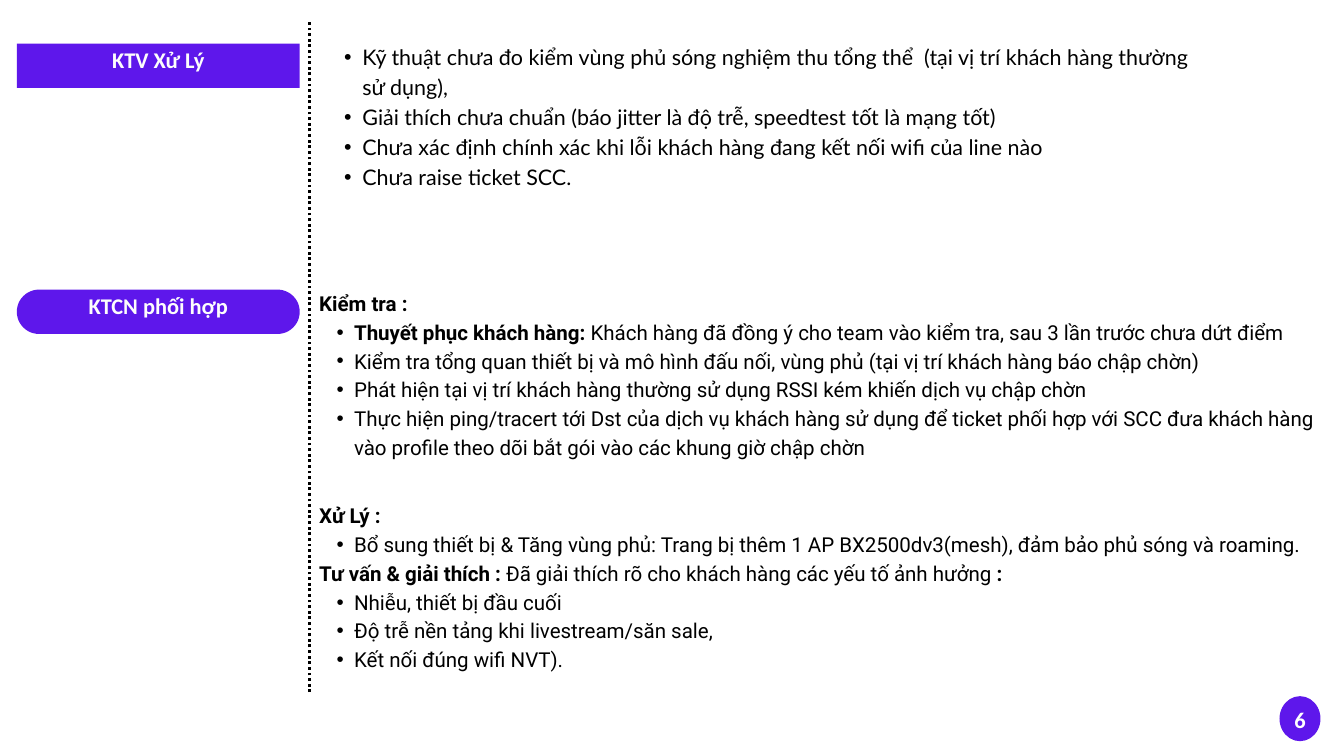
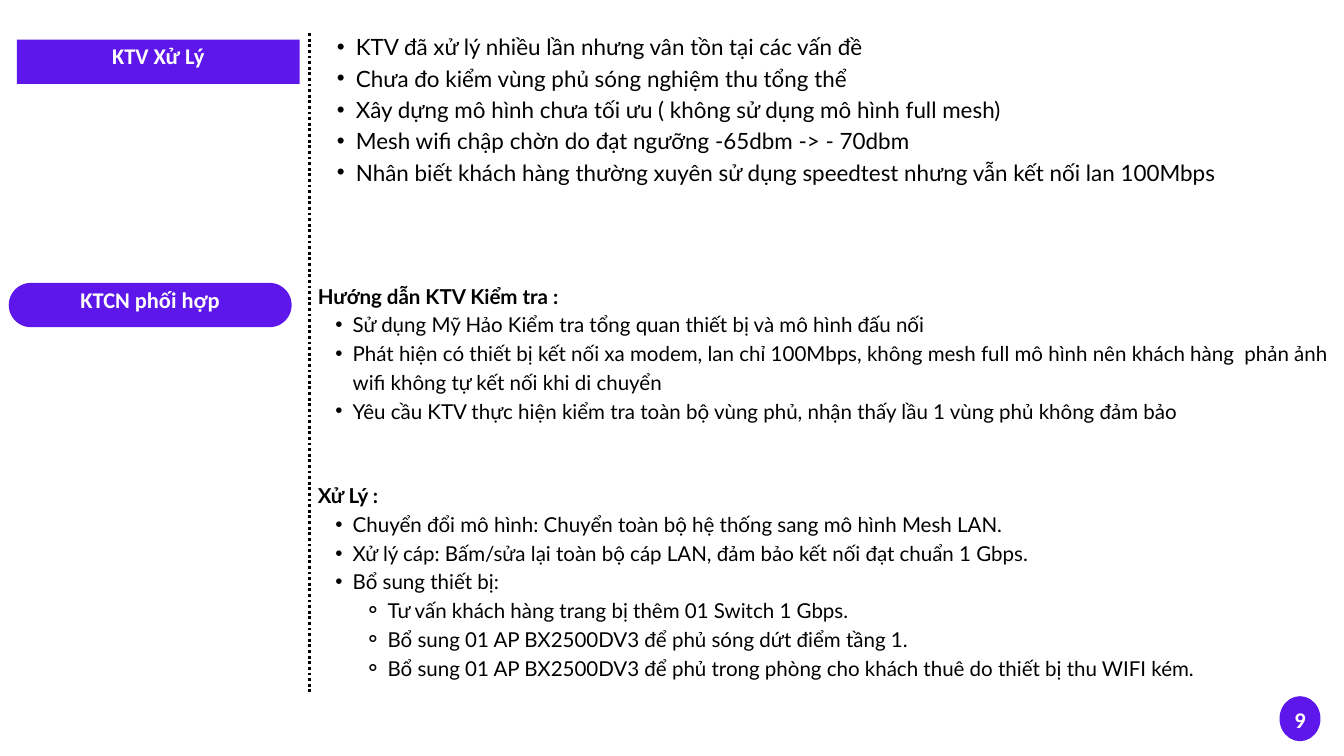
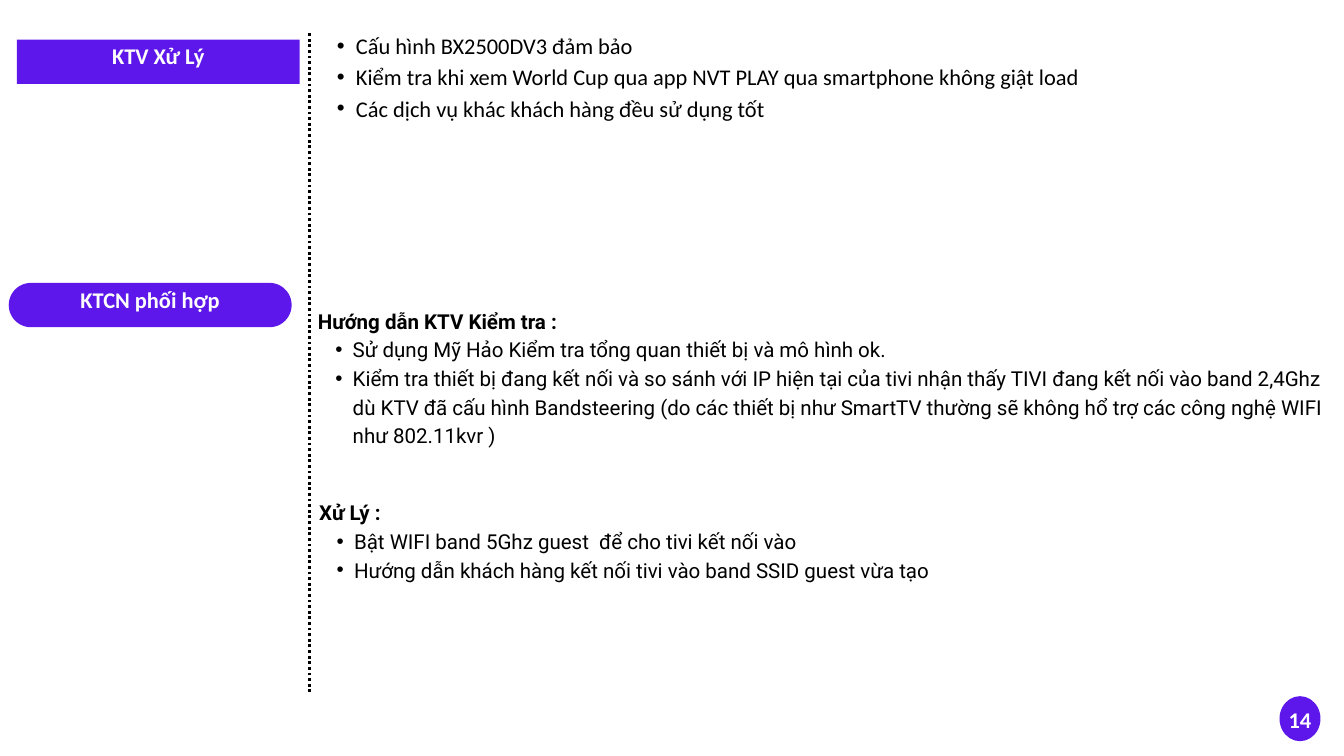
from lxml.etree import SubElement
from pptx import Presentation
from pptx.dml.color import RGBColor
from pptx.enum.dml import MSO_LINE
from pptx.enum.shapes import MSO_CONNECTOR as Link, MSO_SHAPE as Shape
from pptx.enum.text import MSO_ANCHOR as Anchor, MSO_AUTO_SIZE as Fit, PP_ALIGN as Align
from pptx.oxml.ns import qn
from pptx.util import Inches, Pt

PURPLE, BLACK, WHITE = "5E17EB", "000000", "FFFFFF"
BULLETS = {1: "•", 2: "⚬"}
LEADING = 1.4
STEP = 0.0236
LABELS = ("KTV Xử Lý", "KTCN phối hợp")


def paint(target, color):
    """Give a fill or line format one solid colour."""
    target.solid()
    target.fore_color.rgb = RGBColor.from_string(color)


def place(shape, box):
    """Move a shape to a box in inches."""
    shape.left, shape.top, shape.width, shape.height = map(Inches, box)


def frame(shape, anchor=Anchor.TOP, bottom=0):
    """Prepare a text frame with fixed size and thin margins."""
    body = shape.text_frame
    body.word_wrap, body.auto_size, body.vertical_anchor = True, Fit.NONE, anchor
    body.margin_left = body.margin_right = body.margin_top = 0
    body.margin_bottom = Inches(bottom)
    return body


def write(para, text, size=24, font="Calibri", color=BLACK, align=Align.LEFT, level=0):
    """Write text in one paragraph; parts between asterisks are bold."""
    para.level, para.alignment = level, align
    para.line_spacing, para.space_before = Pt(size * LEADING), Pt(0)
    left = level * STEP * size
    props = para._p.get_or_add_pPr()
    props.set("marL", str(Inches(left)))
    props.set("indent", str(-Inches(left / (level + 1))))
    if level:
        SubElement(props, qn("a:buChar"), char=BULLETS[level])
    else:
        SubElement(props, qn("a:buNone"))
    for index, part in enumerate(text.split("*")):
        if part:
            run = para.add_run()
            run.text = part
            run.font.size, run.font.name = Pt(size), font
            run.font.bold = index % 2 == 1
            run.font.color.rgb = RGBColor.from_string(color)


def pill(holder, left, top, text):
    """Turn a placeholder into a rounded purple label."""
    place(holder, (left, top, 4.21, 0.66))
    shape = SubElement(holder._element.spPr, qn("a:prstGeom"), prst="roundRect")
    guides = SubElement(shape, qn("a:avLst"))
    SubElement(guides, qn("a:gd"), name="adj", fmla="val 50000")
    paint(holder.fill, PURPLE)
    body = frame(holder, Anchor.MIDDLE, bottom=0.24)
    write(body.paragraphs[0], f"*{text}*", color="FDFDFD", align=Align.CENTER)


def listing(holder, box, items, **style):
    """Fill a placeholder with (level, text) items."""
    place(holder, box)
    body = frame(holder)
    for index, (level, text) in enumerate(items):
        para = body.add_paragraph() if index else body.paragraphs[0]
        write(para, text, level=level, **style)


def divider(slide, top):
    """Draw the dotted line between labels and lists."""
    line = slide.shapes.add_connector(
        Link.STRAIGHT, Inches(4.6), Inches(10.3), Inches(4.6), Inches(top))
    paint(line.line.fill, BLACK)
    line.line.width, line.line.dash_style = Pt(3), MSO_LINE.ROUND_DOT
    SubElement(line._element.spPr, qn("a:effectLst"))


def badge(slide, number):
    """Put the page number in a purple oval."""
    oval = slide.shapes.add_shape(Shape.OVAL, *map(Inches, (19.04, 10.36, 0.61, 0.67)))
    oval.shadow.inherit = False
    paint(oval.fill, PURPLE)
    oval.line.fill.background()
    body = frame(oval, Anchor.MIDDLE, bottom=0.04)
    body.word_wrap = False
    write(body.paragraphs[0], f"*{number}*", color=WHITE, align=Align.CENTER)


def page(deck, number, top, spots, lists):
    """Build one case slide with two labels and three lists."""
    slide = deck.slides.add_slide(deck.slide_layouts.get_by_name("Comparison"))
    holders = {item.placeholder_format.idx: item for item in slide.placeholders}
    divider(slide, top)
    for key, spot, label in zip((0, 3), spots, LABELS):
        pill(holders[key], *spot, label)
    for key, (box, size, font, items) in zip((1, 2, 4), lists):
        listing(holders[key], box, items, size=size, font=font)
    badge(slide, number)


SPOTS = ((0.25, 0.59), (0.13, 4.21))

PAGES = (
    (6, 0.29, ((0.25, 0.65), (0.25, 4.31)), (
        ((4.85, 0.59, 13.26, 2.18), 23, "Lato", (
            (1, "Kỹ thuật chưa đo kiểm vùng phủ sóng nghiệm thu tổng thể  (tại vị trí khách hàng thường sử dụng),"),
            (1, "Giải thích chưa chuẩn (báo jitter là độ trễ, speedtest tốt là mạng tốt)"),
            (1, "Chưa xác định chính xác khi lỗi khách hàng đang kết nối wifi của line nào"),
            (1, "Chưa raise ticket SCC."))),
        ((4.75, 4.27, 15.1, 2.97), 22, "Roboto", (
            (0, "*Kiểm tra :*"),
            (1, "*Thuyết phục khách hàng:* Khách hàng đã đồng ý cho team vào kiểm tra, sau 3 lần trước chưa dứt điểm"),
            (1, "Kiểm tra tổng quan thiết bị và mô hình đấu nối, vùng phủ (tại vị trí khách hàng báo chập chờn)"),
            (1, "Phát hiện tại vị trí khách hàng thường sử dụng RSSI kém khiến dịch vụ chập chờn"),
            (1, "Thực hiện ping/tracert tới Dst của dịch vụ khách hàng sử dụng để ticket phối hợp với SCC "
                "đưa khách hàng vào profile theo dõi bắt gói vào các khung giờ chập chờn"))),
        ((4.75, 7.43, 15.25, 2.97), 22, "Roboto", (
            (0, "*Xử Lý :*"),
            (1, "Bổ sung thiết bị & Tăng vùng phủ: Trang bị thêm 1 AP BX2500dv3(mesh), đảm bảo phủ sóng và roaming."),
            (0, "*Tư vấn & giải thích : *Đã giải thích rõ cho khách hàng các yếu tố ảnh hưởng* :*"),
            (1, "Nhiễu, thiết bị đầu cuối"),
            (1, "Độ trễ nền tảng khi livestream/săn sale,"),
            (1, "Kết nối đúng wifi NVT)."))))),
    (9, 0.47, SPOTS, (
        ((4.73, 0.43, 14.48, 2.27), 24, "Lato", (
            (1, "KTV đã xử lý nhiều lần nhưng vân tồn tại các vấn đề"),
            (1, "Chưa đo kiểm vùng phủ sóng nghiệm thu tổng thể"),
            (1, "Xây dựng mô hình chưa tối ưu ( không sử dụng mô hình full mesh)"),
            (1, "Mesh wifi chập chờn do đạt ngưỡng -65dbm -> - 70dbm"),
            (1, "Nhân biết khách hàng thường xuyên sử dụng speedtest nhưng vẫn kết nối lan 100Mbps"))),
        ((4.73, 4.16, 15.1, 2.12), 22, "Lato", (
            (0, "*Hướng dẫn KTV Kiểm tra :*"),
            (1, "Sử dụng Mỹ Hảo Kiểm tra tổng quan thiết bị và mô hình đấu nối"),
            (1, "Phát hiện có thiết bị kết nối xa modem, lan chỉ 100Mbps, không mesh full mô hình "
                "nên khách hàng  phản ảnh wifi không tự kết nối khi di chuyển"),
            (1, "Yêu cầu KTV thực hiện kiểm tra toàn bộ vùng phủ, nhận thấy lầu 1 vùng phủ không đảm bảo"))),
        ((4.73, 7.13, 15.25, 2.97), 22, "Lato", (
            (0, "*Xử Lý :*"),
            (1, "Chuyển đổi mô hình: Chuyển toàn bộ hệ thống sang mô hình Mesh LAN."),
            (1, "Xử lý cáp: Bấm/sửa lại toàn bộ cáp LAN, đảm bảo kết nối đạt chuẩn 1 Gbps."),
            (1, "Bổ sung thiết bị:"),
            (2, "Tư vấn khách hàng trang bị thêm 01 Switch 1 Gbps."),
            (2, "Bổ sung 01 AP BX2500DV3 để phủ sóng dứt điểm tầng 1."),
            (2, "Bổ sung 01 AP BX2500DV3 để phủ trong phòng cho khách thuê do thiết bị thu WIFI kém."))))),
    (14, 0.47, SPOTS, (
        ((4.73, 0.41, 11.95, 1.37), 24, "Calibri", (
            (1, "Cấu hình BX2500DV3 đảm bảo"),
            (1, "Kiểm tra khi xem World Cup qua app NVT PLAY qua smartphone không giật load"),
            (1, "Các dịch vụ khác khách hàng đều sử dụng tốt"))),
        ((4.73, 4.53, 15.1, 2.12), 22, "Roboto", (
            (0, "*Hướng dẫn KTV Kiểm tra :*"),
            (1, "Sử dụng Mỹ Hảo Kiểm tra tổng quan thiết bị và mô hình ok."),
            (1, "Kiểm tra thiết bị đang kết nối và so sánh với IP hiện tại của tivi nhận thấy TIVI đang kết nối "
                "vào band 2,4Ghz dù KTV đã cấu hình Bandsteering (do các thiết bị như SmartTV thường sẽ "
                "không hổ trợ các công nghệ WIFI như 802.11kvr )"))),
        ((4.75, 7.38, 15.25, 1.26), 22, "Roboto", (
            (0, "*Xử Lý :*"),
            (1, "Bật WIFI band 5Ghz guest  để cho tivi kết nối vào"),
            (1, "Hướng dẫn khách hàng kết nối tivi vào band SSID guest vừa tạo"))))),
)


def main():
    """Build and save the deck."""
    deck = Presentation()
    deck.slide_width, deck.slide_height = Inches(20), Inches(11.25)
    for case in PAGES:
        page(deck, *case)
    deck.save("out.pptx")


if __name__ == "__main__":
    main()
